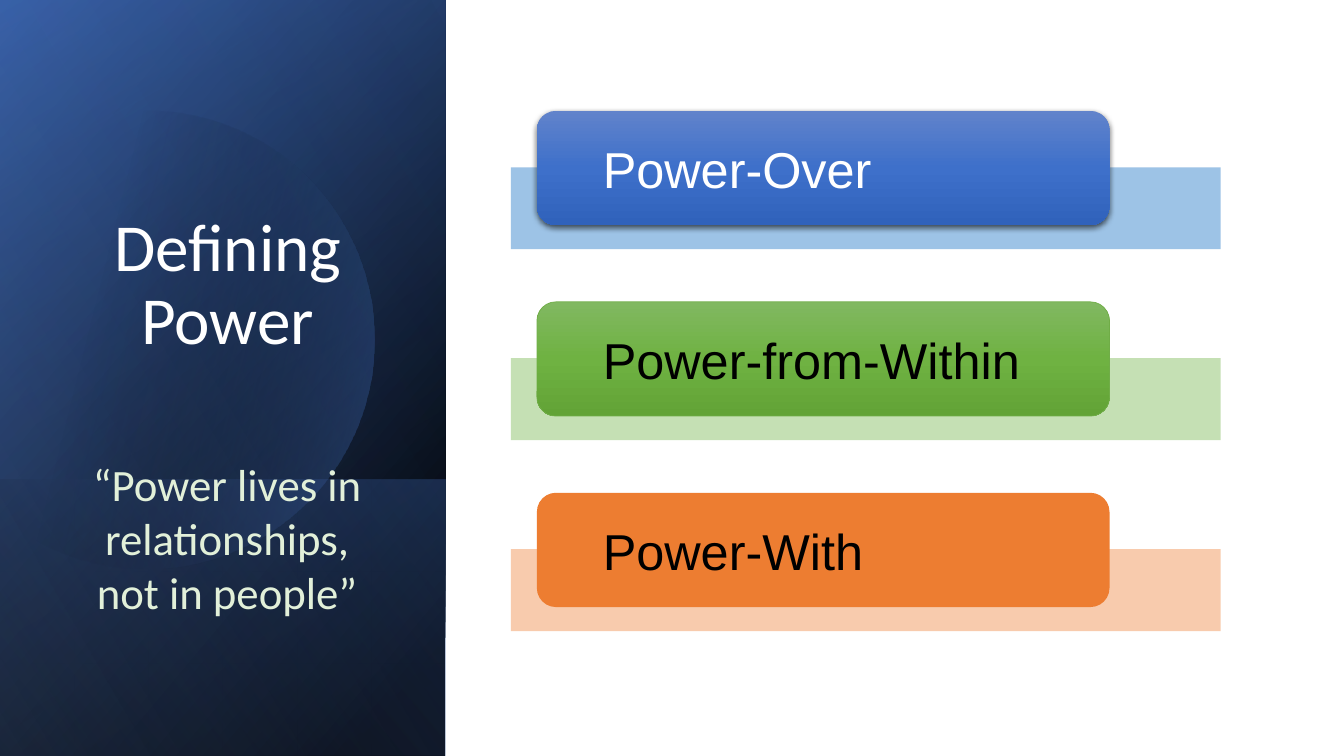
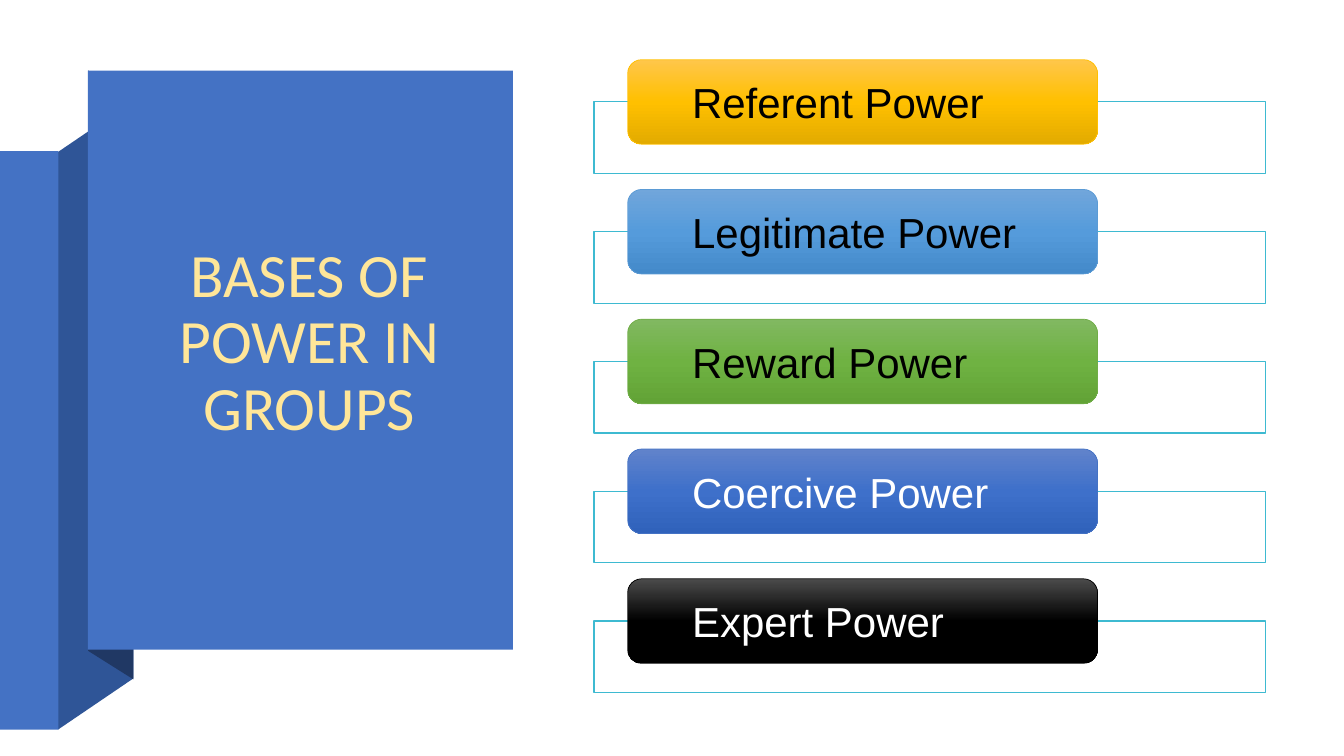
from collections import namedtuple
from math import cos, radians, sin

from pptx import Presentation
from pptx.dml.color import RGBColor
from pptx.enum.shapes import MSO_SHAPE as SHAPE
from pptx.enum.text import MSO_ANCHOR as ANCHOR, MSO_AUTO_SIZE as AUTO, PP_ALIGN as ALIGN
from pptx.oxml import parse_xml
from pptx.oxml.ns import nsdecls, qn
from pptx.util import Pt

# Colours
WHITE = RGBColor(0xFF, 0xFF, 0xFF)
BLACK = RGBColor(0x00, 0x00, 0x00)
BLUE = RGBColor(0x44, 0x72, 0xC4)
DEEP_BLUE = RGBColor(0x2F, 0x55, 0x97)
NAVY = RGBColor(0x20, 0x38, 0x64)
MIST_BLUE = RGBColor(0x8F, 0xAA, 0xDC)
SKY = RGBColor(0x5B, 0x9B, 0xD5)
LIGHT_SKY = RGBColor(0x9D, 0xC3, 0xE6)
GREEN = RGBColor(0x70, 0xAD, 0x47)
LIGHT_GREEN = RGBColor(0xC5, 0xE0, 0xB4)
PALE_GREEN = RGBColor(0xE2, 0xF0, 0xD9)
ORANGE = RGBColor(0xED, 0x7D, 0x31)
LIGHT_ORANGE = RGBColor(0xF8, 0xCB, 0xAD)
GOLD = RGBColor(0xFF, 0xC0, 0x00)
LIGHT_GOLD = RGBColor(0xFF, 0xE6, 0x99)
TEAL = RGBColor(0x3E, 0xBA, 0xD1)

# Pill styles: top, middle and bottom of the gradient, outline, text
Style = namedtuple("Style", "shades line ink")
BLUE_PILL = Style((RGBColor(0x61, 0x83, 0xCB), RGBColor(0x3E, 0x70, 0xCA),
                   RGBColor(0x30, 0x62, 0xBB)), BLUE, WHITE)
GREEN_PILL = Style((RGBColor(0x81, 0xB8, 0x61), RGBColor(0x6F, 0xB2, 0x42),
                    RGBColor(0x62, 0xA3, 0x36)), GREEN, BLACK)
ORANGE_PILL = Style((ORANGE,), None, BLACK)
GOLD_PILL = Style((RGBColor(0xFF, 0xC6, 0x4B), GOLD,
                   RGBColor(0xE3, 0xAB, 0x00)), GOLD, BLACK)
SKY_PILL = Style((RGBColor(0x71, 0xA6, 0xDB), RGBColor(0x55, 0x9B, 0xDB),
                  RGBColor(0x44, 0x8A, 0xCA)), SKY, BLACK)
BLACK_PILL = Style((RGBColor(0x4B, 0x4B, 0x4B), BLACK, BLACK), BLACK, WHITE)

# Row layouts: strip and pill boxes of the first row (left, top, width, height)
Rows = namedtuple("Rows", "strip pill pitch size")
WIDE_ROWS = Rows((365, 119.5, 507, 58.5), (383.5, 79.2, 409, 81.6), 136.4, 36)
TIGHT_ROWS = Rows((424.3, 72.8, 479.5, 51.2), (448.3, 42.6, 335.7, 60.4), 92.7, 30)

SLIDE_W, SLIDE_H = 960, 540
PANEL_W = 318.2


# Shared elements
def dress(shape, fill=None, line=None, width=0.5):
    shape.shadow.inherit = False
    if fill is not None:
        shape.fill.solid()
        shape.fill.fore_color.rgb = fill
    if line is None:
        shape.line.fill.background()
    else:
        shape.line.color.rgb = line
        shape.line.width = Pt(width)
    return shape


def add_box(s, kind, box, fill=None, line=None, width=0.5):
    shape = s.shapes.add_shape(kind, *(Pt(v) for v in box))
    return dress(shape, fill, line, width)


def add_polygon(s, points, fill=None):
    corners = [(Pt(x), Pt(y)) for x, y in points]
    builder = s.shapes.build_freeform(*corners[0], scale=1.0)
    builder.add_line_segments(corners[1:], close=True)
    return dress(builder.convert_to_shape(), fill)


def set_gradient(shape, stops, angle):
    """Stops are (position %, colour, opacity %)."""
    marks = "".join(
        f'<a:gs pos="{pos * 1000}"><a:srgbClr val="{colour}">'
        f'<a:alpha val="{opacity * 1000}"/></a:srgbClr></a:gs>'
        for pos, colour, opacity in stops)
    shape.fill.solid()
    props = shape.element.spPr
    props.replace(props.find(qn("a:solidFill")), parse_xml(
        f'<a:gradFill {nsdecls("a")} rotWithShape="1"><a:gsLst>{marks}</a:gsLst>'
        f'<a:lin ang="{angle * 60000}" scaled="0"/></a:gradFill>'))


def set_shadow(shape, blur, distance, opacity):
    effects = shape.element.spPr.find(qn("a:effectLst"))
    effects.append(parse_xml(
        f'<a:outerShdw {nsdecls("a")} blurRad="{Pt(blur)}" dist="{Pt(distance)}" '
        f'dir="5400000" rotWithShape="0"><a:srgbClr val="{BLACK}">'
        f'<a:alpha val="{opacity * 1000}"/></a:srgbClr></a:outerShdw>'))


def set_text(shape, text, size, colour, font="Calibri", align=ALIGN.CENTER,
             anchor=ANCHOR.MIDDLE, inset=7.2):
    tf = shape.text_frame
    tf.text = text
    tf.word_wrap = True
    tf.auto_size = AUTO.NONE
    tf.vertical_anchor = anchor
    tf.margin_left = tf.margin_right = Pt(7.2)
    tf.margin_top = tf.margin_bottom = Pt(inset)
    p = tf.paragraphs[0]
    p.alignment = align
    r = p.runs[0]
    r.font.name = font
    r.font.size = Pt(size)
    r.font.color.rgb = colour
    return p


def add_title(s, text, box, size, colour, anchor):
    title = s.shapes.title
    title.left, title.top, title.width, title.height = (Pt(v) for v in box)
    p = set_text(title, text, size, colour, anchor=anchor, inset=3.6)
    p.line_spacing = 0.9
    # Bring the title in front of the panel behind it
    title.element.getparent().append(title.element)


def add_row(s, rows, index, text, style, strip_fill, strip_line=None):
    def shifted(box):
        left, top, width, height = box
        return left, top + index * rows.pitch, width, height

    add_box(s, SHAPE.RECTANGLE, shifted(rows.strip), strip_fill, strip_line, 0.85)
    pill = add_box(s, SHAPE.ROUNDED_RECTANGLE, shifted(rows.pill),
                   style.shades[0], style.line)
    if len(style.shades) > 1:
        set_gradient(pill, [(i * 50, c, 100) for i, c in enumerate(style.shades)], 90)
    p = set_text(pill, text, rows.size, style.ink, "Arial", ALIGN.LEFT)
    p.level = 1
    return pill


# Slide 1 panel
def add_panel_layer(s, top, stops, angle):
    """Full-width layer from top to the slide's foot, turned a quarter."""
    height = SLIDE_H - top
    box = ((PANEL_W - height) / 2, top + (height - PANEL_W) / 2, height, PANEL_W)
    layer = add_box(s, SHAPE.RECTANGLE, box)
    layer.rotation = 90
    layer.element.spPr.find(qn("a:xfrm")).set("flipH", "1")
    set_gradient(layer, stops, angle)


def add_cut_circle(s):
    x, y, radius = 104.4, 242.6, 163.4
    arc = [(x + radius * cos(radians(a)), y + radius * sin(radians(a)))
           for a in range(-129, 130, 3)]
    circle = add_polygon(s, [(0, arc[0][1]), *arc, (0, arc[-1][1])])
    set_gradient(circle, [(29, BLACK, 0), (100, BLUE, 43)], 14)


def build_defining_power(s):
    add_panel_layer(s, 0, [(8, BLACK, 100), (100, DEEP_BLUE, 100)], 50)
    add_panel_layer(s, 0, [(0, BLACK, 0), (99, BLUE, 46)], 30)
    add_panel_layer(s, 342.7, [(2, BLUE, 29), (100, BLACK, 30)], 130)
    add_cut_circle(s)
    add_panel_layer(s, 0, [(0, BLACK, 0), (99, MIST_BLUE, 11)], 120)

    add_title(s, "Defining Power", (36.7, 46, 252, 214), 48, WHITE, ANCHOR.BOTTOM)
    quote = s.shapes.add_textbox(Pt(46.8), Pt(319), Pt(231), Pt(131))
    set_text(quote, "“Power lives in relationships, not in people”", 32,
             PALE_GREEN, anchor=ANCHOR.TOP)

    kinds = [("Power-Over", BLUE_PILL._replace(line=None), LIGHT_SKY),
             ("Power-from-Within", GREEN_PILL, LIGHT_GREEN),
             ("Power-With", ORANGE_PILL, LIGHT_ORANGE)]
    pills = [add_row(s, WIDE_ROWS, i, *kind) for i, kind in enumerate(kinds)]
    set_shadow(pills[0], 4.5, 1.5, 63)


# Slide 2
def build_bases_of_power(s):
    # Folded ribbon
    add_polygon(s, [(41.3, 521.3), (95.3, 484.6), (95.3, 72), (41.3, 108.7)], DEEP_BLUE)
    add_box(s, SHAPE.RECTANGLE, (0, 108, 41.8, 413.3), BLUE)
    add_polygon(s, [(63, 465), (95.3, 485.3), (95.3, 71.3), (63, 50.4)], NAVY)
    add_box(s, SHAPE.RECTANGLE, (62.8, 50.4, 303.6, 413.6), BLUE)
    add_title(s, "BASES OF POWER IN GROUPS", (90, 78.5, 262, 334), 44,
              LIGHT_GOLD, ANCHOR.MIDDLE)

    bases = [("Referent Power", GOLD_PILL), ("Legitimate Power", SKY_PILL),
             ("Reward Power", GREEN_PILL), ("Coercive Power", BLUE_PILL),
             ("Expert Power", BLACK_PILL)]
    for i, (text, style) in enumerate(bases):
        add_row(s, TIGHT_ROWS, i, text, style, WHITE, TEAL)


def main():
    prs = Presentation()
    prs.slide_width, prs.slide_height = Pt(SLIDE_W), Pt(SLIDE_H)
    title_only = prs.slide_layouts[5]
    for build in (build_defining_power, build_bases_of_power):
        build(prs.slides.add_slide(title_only))
    prs.save("out.pptx")


if __name__ == "__main__":
    main()
